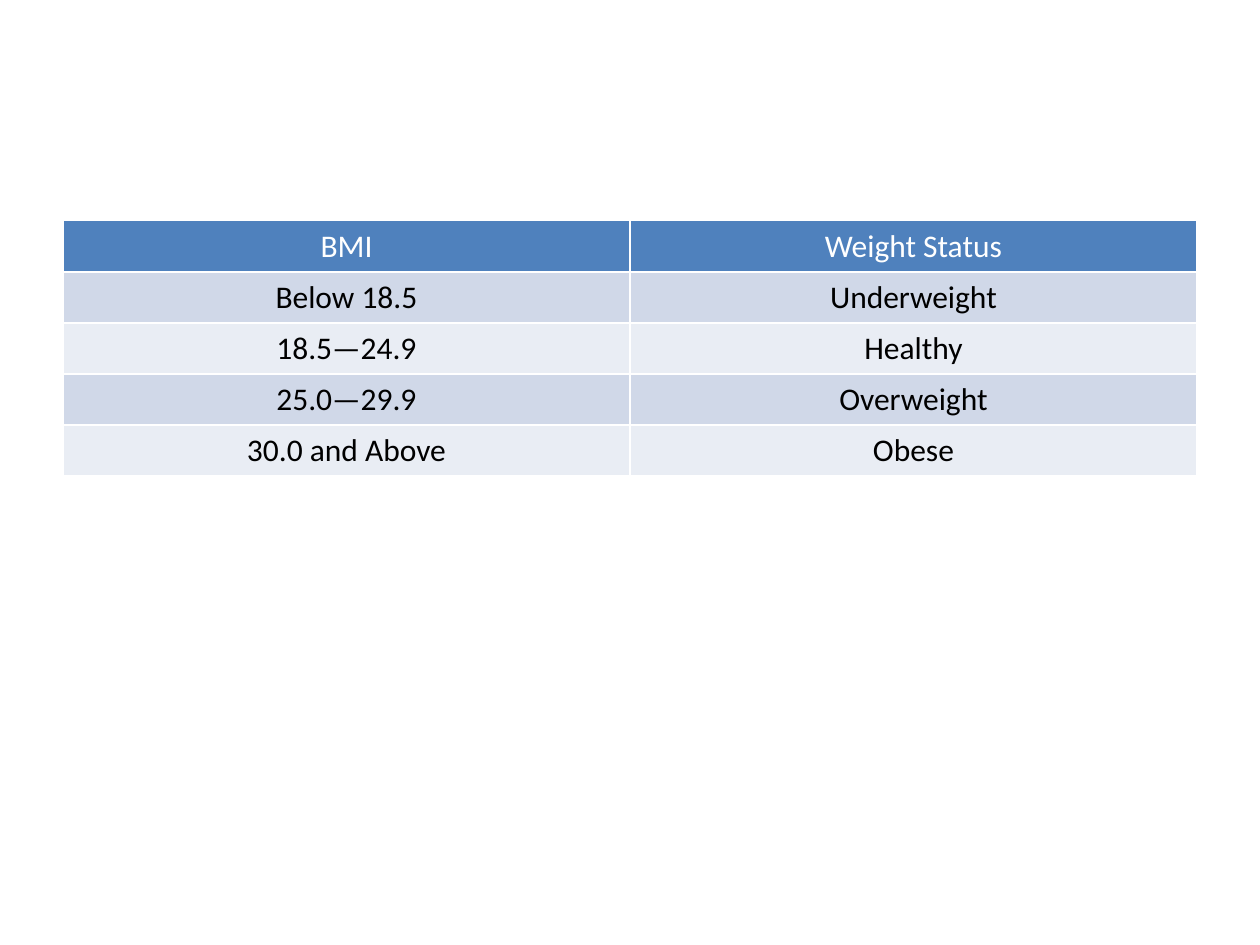
from dataclasses import dataclass

from lxml import etree
from pptx import Presentation
from pptx import util as u
from pptx.dml.color import RGBColor
from pptx.enum import text
from pptx.oxml import ns

COLORS = {
    "header": "4F81BD", "odd": "D0D8E8", "even": "E9EDF4",
    "border": "FFFFFF", "header_text": "FFFFFF", "body_text": "000000",
}
ROW_HEIGHT = u.Cm(1.03)
COLUMN_WIDTH = u.Cm(11.43)


@dataclass
class Category:
    """One table row: a BMI range and its weight status."""
    bmi: str
    status: str


CATEGORIES = [
    Category("BMI", "Weight Status"),
    Category("Below 18.5", "Underweight"),
    Category("18.5—24.9", "Healthy"),
    Category("25.0—29.9", "Overweight"),
    Category("30.0 and Above", "Obese"),
]


def add_borders(cell, width: int) -> None:
    """Put a solid border on all four sides of a cell."""
    tc_pr = cell._tc.get_or_add_tcPr()
    for i, side in enumerate(("lnL", "lnR", "lnT", "lnB")):
        ln = etree.Element(ns.qn(f"a:{side}"), w=str(width))
        fill = etree.SubElement(ln, ns.qn("a:solidFill"))
        etree.SubElement(fill, ns.qn("a:srgbClr"), val=COLORS["border"])
        tc_pr.insert(i, ln)


def fill_cell(cell, words: str, fill: str, color: str) -> None:
    """Write centred text in a filled and bordered cell."""
    cell.fill.solid()
    cell.fill.fore_color.rgb = RGBColor.from_string(COLORS[fill])
    add_borders(cell, u.Pt(1))
    p = cell.text_frame.paragraphs[0]
    p.alignment = text.PP_ALIGN.CENTER
    r = p.add_run()
    r.text = words
    r.font.name = "Calibri"
    r.font.size = u.Pt(18)
    r.font.bold = False
    r.font.color.rgb = RGBColor.from_string(COLORS[color])


def add_bmi_table(s, categories: list[Category]) -> None:
    """Add the table of BMI ranges to the slide."""
    table = s.shapes.add_table(
        len(categories), 2, u.Cm(1.27), u.Cm(4.45),
        2 * COLUMN_WIDTH, len(categories) * ROW_HEIGHT).table
    for i, category in enumerate(categories):
        fill = "header" if i == 0 else "odd" if i % 2 else "even"
        color = "body_text" if i else "header_text"
        for j, words in enumerate((category.bmi, category.status)):
            fill_cell(table.cell(i, j), words, fill, color)


prs = Presentation()
prs.slide_width, prs.slide_height = u.Cm(25.4), u.Cm(19.05)
s = prs.slides.add_slide(prs.slide_layouts[6])
add_bmi_table(s, CATEGORIES)
prs.save("out.pptx")
